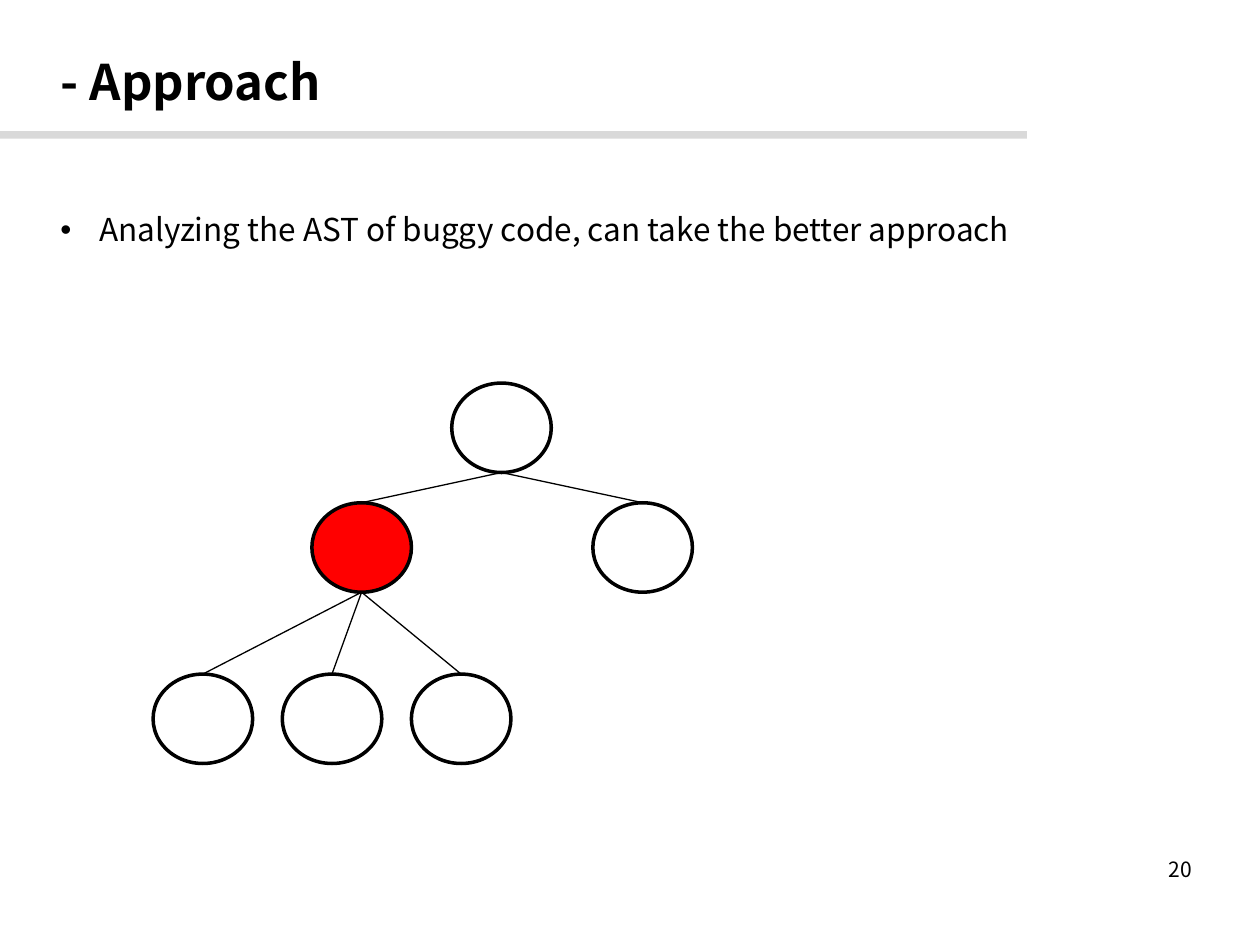
from lxml import etree
from pptx import Presentation
from pptx.dml.color import RGBColor
from pptx.enum import shapes, text
from pptx.oxml import ns
from pptx.util import Inches, Pt

BLACK = RGBColor(0, 0, 0)
WHITE = RGBColor(255, 255, 255)
RED = RGBColor(255, 0, 0)
GRAY = RGBColor(0xD9, 0xD9, 0xD9)
FONT = "Noto Sans CJK KR"

TITLE = "- Approach"
POINT = "Analyzing the AST of buggy code, can take the better approach"
PAGE = "20"

NODE_W, NODE_H = 0.79, 0.71
LEVEL_TOPS = [3.04, 3.99, 5.35]
LEAF_X, LEAF_STEP = 1.61, 1.025
NODES = {
    "root": (3.98, 0, WHITE),
    "buggy": (2.87, 1, RED),
    "sibling": (5.1, 1, WHITE),
}
LEAVES = ["leaf 1", "leaf 2", "leaf 3"]
for i, name in enumerate(LEAVES):
    NODES[name] = (LEAF_X + i * LEAF_STEP, 2, WHITE)
EDGES = [("root", "buggy"), ("root", "sibling")] + [("buggy", n) for n in LEAVES]


def add_text(s, box, content, size, bold=False, anchor=text.MSO_ANCHOR.TOP,
             align=text.PP_ALIGN.LEFT, bullet=None):
    tf = s.shapes.add_textbox(*map(Inches, box)).text_frame
    tf.word_wrap = True
    tf.vertical_anchor = anchor
    tf.margin_left = tf.margin_right = tf.margin_top = tf.margin_bottom = Inches(0.05)
    p = tf.paragraphs[0]
    p.alignment = align
    if bullet:
        pPr = p._p.get_or_add_pPr()
        pPr.set("marL", str(Inches(0.31)))
        pPr.set("indent", str(-Inches(0.31)))
        etree.SubElement(pPr, ns.qn("a:buFont")).set("typeface", "Arial")
        etree.SubElement(pPr, ns.qn("a:buChar")).set("char", bullet)
    r = p.add_run()
    r.text = content
    r.font.name = FONT
    r.font.size = Pt(size)
    r.font.bold = bold
    r.font.color.rgb = BLACK


def add_filled(s, kind, box, color):
    sp = s.shapes.add_shape(kind, *map(Inches, box))
    sp.shadow.inherit = False
    sp.fill.solid()
    sp.fill.fore_color.rgb = color
    return sp


def add_node(s, x, level, color):
    box = (x - NODE_W / 2, LEVEL_TOPS[level], NODE_W, NODE_H)
    sp = add_filled(s, shapes.MSO_SHAPE.OVAL, box, color)
    sp.line.color.rgb = BLACK
    sp.line.width = Pt(2)
    return sp


def add_edge(s, parent, child):
    c = s.shapes.add_connector(
        shapes.MSO_CONNECTOR.STRAIGHT,
        parent.left + parent.width // 2, parent.top + parent.height,
        child.left + child.width // 2, child.top)
    c.end_connect(child, 0)
    c.line.color.rgb = BLACK
    c.line.width = Pt(0.75)
    etree.SubElement(c._element.spPr, ns.qn("a:effectLst"))


def main():
    prs = Presentation()
    prs.slide_width, prs.slide_height = Inches(10), Inches(7.5)
    s = prs.slides.add_slide(prs.slide_layouts[6])

    rule = add_filled(s, shapes.MSO_SHAPE.RECTANGLE, (0, 1.04, 8.15, 0.06), GRAY)
    rule.line.fill.background()
    add_text(s, (0.43, 0, 8.83, 1.28), TITLE, 28, bold=True,
             anchor=text.MSO_ANCHOR.MIDDLE)
    add_text(s, (7.18, 6.75, 2.33, 0.3), PAGE, 12,
             anchor=text.MSO_ANCHOR.MIDDLE, align=text.PP_ALIGN.RIGHT)

    nodes = {name: add_node(s, *node) for name, node in NODES.items()}
    for parent, child in EDGES:
        add_edge(s, nodes[parent], nodes[child])
    add_text(s, (0.43, 1.62, 9.21, 0.4), POINT, 18, bullet="•")
    prs.save("out.pptx")


if __name__ == "__main__":
    main()
